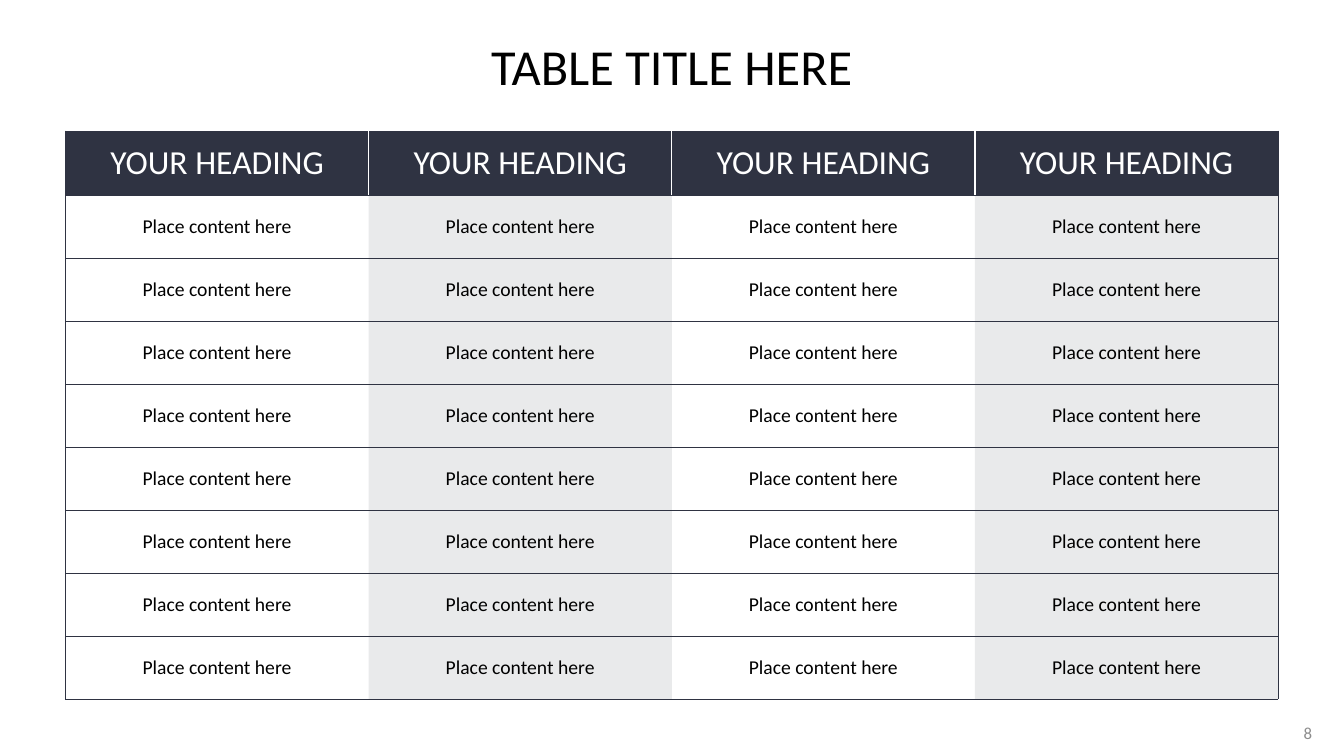
from lxml.etree import SubElement
from pptx import Presentation
from pptx.dml.color import RGBColor
from pptx.enum.text import MSO_ANCHOR, MSO_AUTO_SIZE, PP_ALIGN
from pptx.oxml.ns import qn
from pptx.util import Cm, Pt

NAVY = RGBColor(0x2F, 0x33, 0x42)
GREY = RGBColor(0x8C, 0x8C, 0x8C)
BLACK = RGBColor(0, 0, 0)
WHITE = RGBColor(0xFF, 0xFF, 0xFF)


def write(frame, text, size, color, align=PP_ALIGN.CENTER):
    paragraph = frame.paragraphs[0]
    paragraph.alignment = align
    run = paragraph.add_run()
    run.text = text
    run.font.name = "Calibri"
    run.font.size = Pt(size)
    run.font.color.rgb = color


def draw_border(cell, side, color, width):
    line = SubElement(cell._tc.get_or_add_tcPr(), qn(f"a:ln{side}"), w=str(Pt(width)))
    if color is None:
        SubElement(line, qn("a:noFill"))
    else:
        SubElement(SubElement(line, qn("a:solidFill")), qn("a:srgbClr"), val=str(color))


prs = Presentation()
prs.slide_width = Cm(33.87)
prs.slide_height = Cm(19.05)
slide = prs.slides.add_slide(prs.slide_layouts[5])

title = slide.shapes.title
title.left, title.top, title.width, title.height = Cm(1.65), Cm(0), Cm(30.56), Cm(3.3)
title.text_frame.auto_size = MSO_AUTO_SIZE.NONE
title.text_frame.vertical_anchor = MSO_ANCHOR.MIDDLE
write(title.text_frame, "TABLE TITLE HERE", 36, BLACK)

row_count, column_count = 9, 4
table_height = Cm(14.32)
table = slide.shapes.add_table(
    row_count, column_count, Cm(1.65), Cm(3.3), Cm(30.56), table_height
).table
table.horz_banding = False
header_height = Cm(1.62)
body_height = (table_height - header_height) // (row_count - 1)

for row_index, row in enumerate(table.rows):
    is_header = row_index == 0
    row.height = header_height if is_header else body_height
    divider = (WHITE, 1) if is_header else (None, 0.5)
    for column_index, cell in enumerate(row.cells):
        outer = (NAVY, 0.5)
        draw_border(cell, "L", *(outer if column_index == 0 else divider))
        draw_border(cell, "R", *(outer if column_index == column_count - 1 else divider))
        draw_border(cell, "T", *outer)
        draw_border(cell, "B", *outer)

        cell.vertical_anchor = MSO_ANCHOR.MIDDLE
        cell.margin_left = cell.margin_right = Cm(0.18)
        cell.margin_top = cell.margin_bottom = Cm(0.1)
        is_shaded = column_index % 2 == 1
        if is_header or is_shaded:
            cell.fill.solid()
            cell.fill.fore_color.rgb = NAVY
        else:
            cell.fill.background()
        if is_shaded and not is_header:
            tint = cell._tc.tcPr.find(f"{qn('a:solidFill')}/{qn('a:srgbClr')}")
            SubElement(tint, qn("a:alpha"), val="10000")

        if is_header:
            write(cell.text_frame, "YOUR HEADING", 24, WHITE)
        else:
            write(cell.text_frame, "Place content here", 14, BLACK)

page_number = slide.shapes.add_textbox(Cm(32.08), Cm(17.96), Cm(1.24), Cm(1.02)).text_frame
page_number.word_wrap = True
page_number.vertical_anchor = MSO_ANCHOR.MIDDLE
write(page_number, "8", 12, GREY, align=PP_ALIGN.RIGHT)

prs.save("out.pptx")
